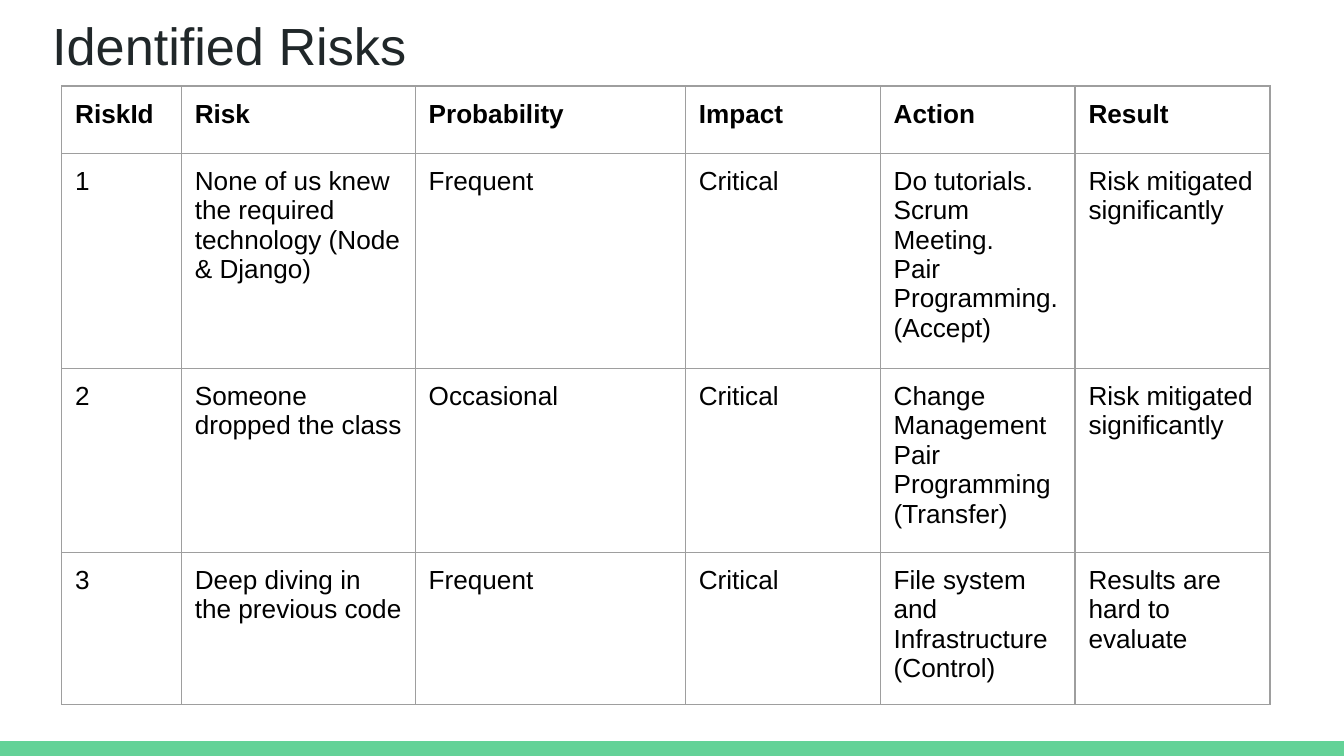
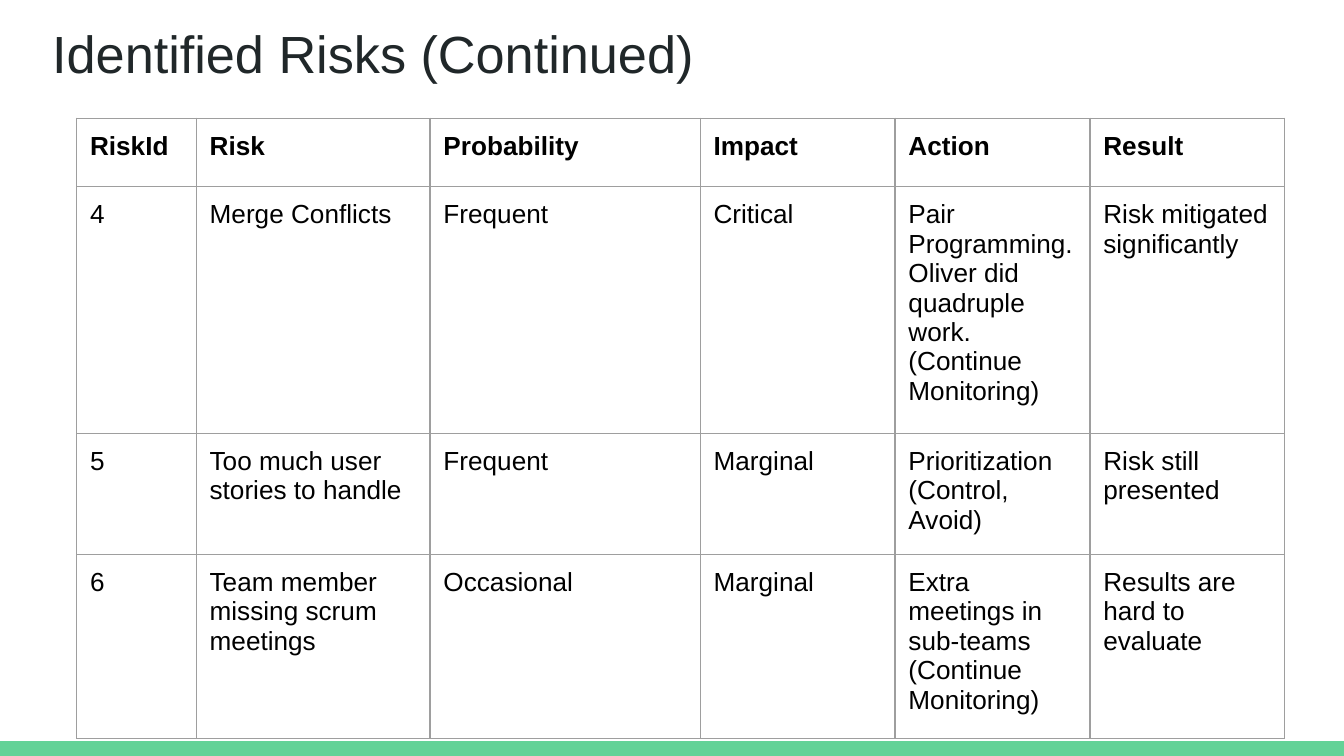
from dataclasses import dataclass

from lxml import etree
from pptx import Presentation
from pptx import util as u
from pptx.dml.color import RGBColor
from pptx.enum import shapes, text
from pptx.oxml import ns


# Colours, font and type sizes
@dataclass(frozen=True)
class Theme:
    face: str = "Arial"
    title: str = "202729"
    body: str = "000000"
    band: str = "63D297"
    rule: str = "9E9E9E"
    big: float = 28
    small: float = 14
    line: float = 0.75


THEME = Theme()
WIDE = 10
HIGH = WIDE * 9 / 16
INSET = 0.1
FRAME = 3.28  # nominal table size; rows grow to fit their text
COLS = [0.89, 1.74, 2.01, 1.45, 1.45, 1.45]
HEAD = ["RiskId", "Risk", "Probability", "Impact", "Action", "Result"]

# Content: title, title top, table corner, least row heights, risks
SLIDES = [
    ("Identified Risks", 0, (0.46, 0.64), [0.5, 1.55, 1.33, 1.1], [
        ["1", "None of us knew the required technology (Node & Django)",
         "Frequent", "Critical",
         "Do tutorials.\nScrum Meeting.\nPair Programming.\n(Accept)",
         "Risk mitigated significantly"],
        ["2", "Someone dropped the class", "Occasional", "Critical",
         "Change Management\nPair Programming\n(Transfer)",
         "Risk mitigated significantly"],
        ["3", "Deep diving in the previous code", "Frequent", "Critical",
         "File system and Infrastructure\n(Control)",
         "Results are hard to evaluate"],
    ]),
    ("Identified Risks (Continued)", 0.06, (0.57, 0.88), [0.51, 1.22, 0.33, 0.43], [
        ["4", "Merge Conflicts", "Frequent", "Critical",
         "Pair Programming.\nOliver did quadruple work.\n(Continue Monitoring)",
         "Risk mitigated significantly"],
        ["5", "Too much user stories to handle", "Frequent", "Marginal",
         "Prioritization\n(Control,\nAvoid)", "Risk still presented"],
        ["6", "Team member missing scrum meetings", "Occasional", "Marginal",
         "Extra meetings in sub-teams\n(Continue Monitoring)",
         "Results are hard to evaluate"],
    ]),
]


def assign(item, values):
    for name, value in values.items():
        setattr(item, name, value)


def margins():
    return {f"margin_{side}": u.Inches(INSET)
            for side in ("left", "right", "top", "bottom")}


def write(frame, words, size, tint, bold=False):
    frame.text = words
    look = {"name": THEME.face, "size": u.Pt(size), "bold": bold}
    for para in frame.paragraphs:
        para.alignment = text.PP_ALIGN.LEFT
        for run in para.runs:
            assign(run.font, look)
            run.font.color.rgb = RGBColor.from_string(tint)


# Green strip along the foot of the slide
def add_band(slide):
    tall = 0.11
    band = slide.shapes.add_shape(
        shapes.MSO_SHAPE.RECTANGLE, 0, u.Inches(HIGH - tall),
        u.Inches(WIDE), u.Inches(tall))
    band.shadow.inherit = False
    band.fill.solid()
    band.fill.fore_color.rgb = RGBColor.from_string(THEME.band)
    band.line.fill.background()


def add_title(slide, words, top):
    box = slide.shapes.add_textbox(
        u.Inches(0.29), u.Inches(top), u.Inches(9.32), u.Inches(0.63))
    frame = box.text_frame
    assign(frame, {"word_wrap": True, "vertical_anchor": text.MSO_ANCHOR.TOP,
                   **margins()})
    write(frame, words, THEME.big, THEME.title)


# Thin grey line on all four sides of a cell
def add_border(cell):
    props = cell._tc.get_or_add_tcPr()
    for side in ("lnL", "lnR", "lnT", "lnB"):
        line = etree.SubElement(props, ns.qn(f"a:{side}"),
                                w=str(u.Pt(THEME.line)))
        fill = etree.SubElement(line, ns.qn("a:solidFill"))
        etree.SubElement(fill, ns.qn("a:srgbClr"), val=THEME.rule)


def add_grid(slide, corner, heights, risks):
    rows = [HEAD, *risks]
    left, top = map(u.Inches, corner)
    holder = slide.shapes.add_table(
        len(rows), len(COLS), left, top, u.Inches(FRAME), u.Inches(FRAME))
    grid = holder.table
    assign(grid, {"first_row": False, "horz_banding": False})
    for col, width in zip(grid.columns, COLS):
        col.width = u.Inches(width)
    for r, (row, height) in enumerate(zip(rows, heights)):
        grid.rows[r].height = u.Inches(height)
        for c, words in enumerate(row):
            cell = grid.cell(r, c)
            assign(cell, {"vertical_anchor": text.MSO_ANCHOR.TOP, **margins()})
            add_border(cell)
            cell.fill.background()
            write(cell.text_frame, words, THEME.small, THEME.body, bold=r == 0)
    # Sizing rows and columns resizes the frame, so set it last
    assign(holder, {"width": u.Inches(FRAME), "height": u.Inches(FRAME)})


def main():
    deck = Presentation()
    assign(deck, {"slide_width": u.Inches(WIDE), "slide_height": u.Inches(HIGH)})
    for title, top, corner, heights, risks in SLIDES:
        slide = deck.slides.add_slide(deck.slide_layouts[6])
        add_band(slide)
        add_title(slide, title, top)
        add_grid(slide, corner, heights, risks)
    deck.save("out.pptx")


if __name__ == "__main__":
    main()
